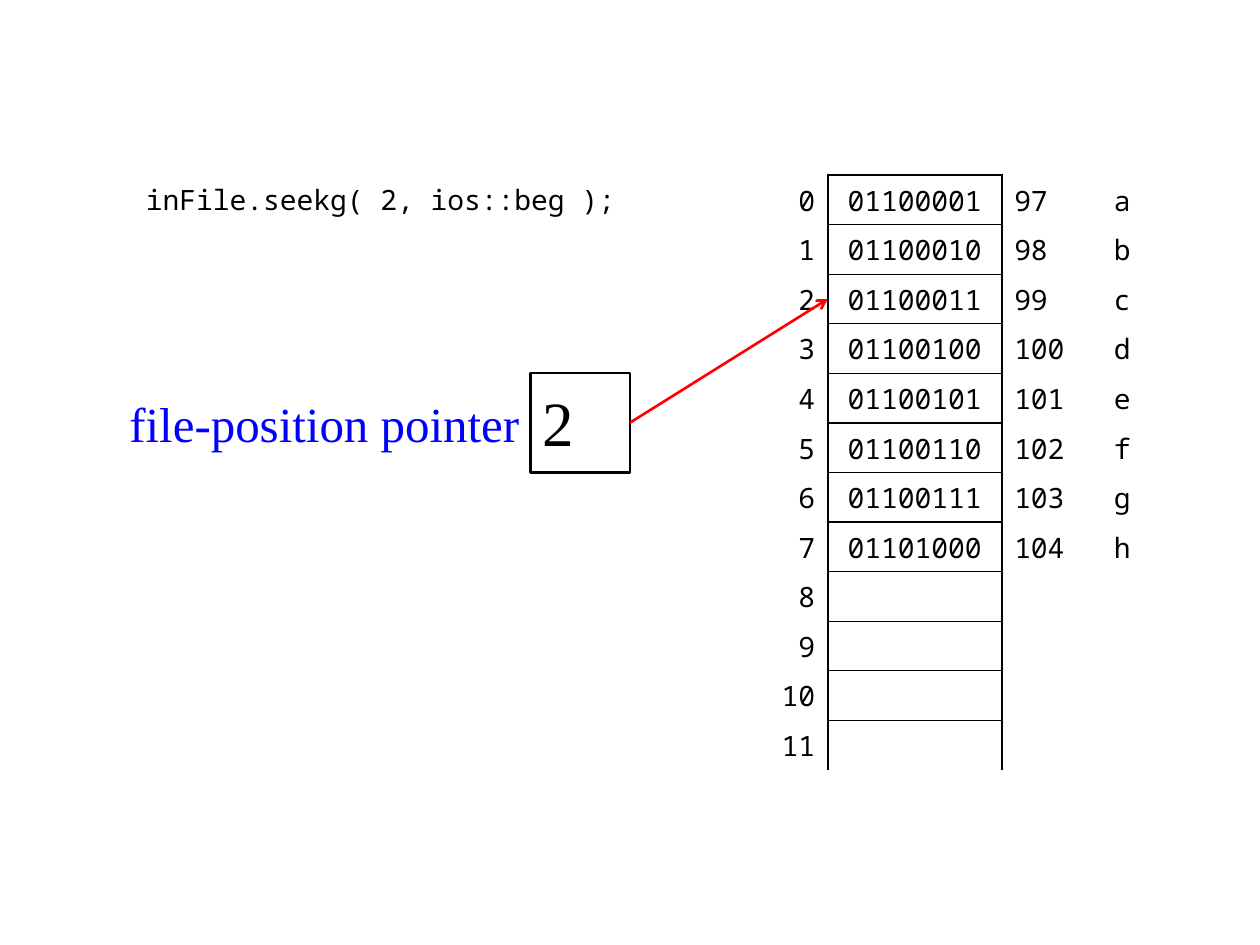
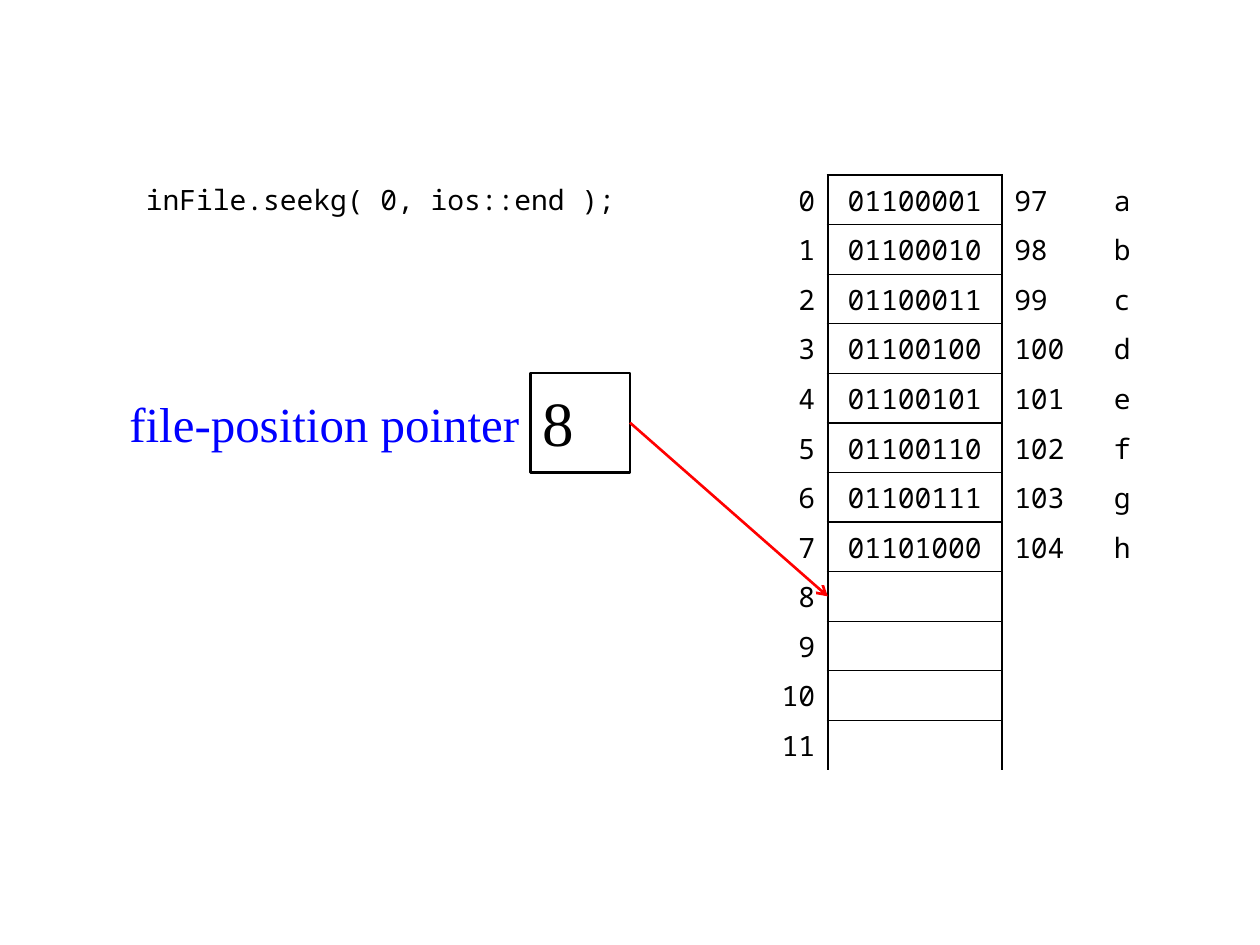
from dataclasses import dataclass

from lxml.etree import SubElement
from pptx import Presentation
from pptx.dml.color import RGBColor
from pptx.enum.shapes import MSO_CONNECTOR, MSO_SHAPE
from pptx.enum.text import MSO_ANCHOR, PP_ALIGN
from pptx.oxml.ns import qn
from pptx.util import Inches, Pt


@dataclass(frozen=True)
class Theme:
    black: RGBColor = RGBColor(0x00, 0x00, 0x00)
    white: RGBColor = RGBColor(0xFF, 0xFF, 0xFF)
    label: RGBColor = RGBColor(0x00, 0x00, 0xFF)
    arrow: RGBColor = RGBColor(0xFF, 0x00, 0x00)
    code_font: str = "Noto Sans Mono"
    text_font: str = "Times New Roman"
    code_size: float = 16
    label_size: float = 28
    pointer_size: float = 36
    thick: float = 1.5
    thin: float = 0.75


FILE_BYTES = "abcdefgh"
ROW_COUNT = 12
TABLE_LEFT, TABLE_TOP, TABLE_HEIGHT = 5.98, 1.39, 4.72
COLUMN_WIDTHS = (0.59, 1.38, 0.79, 0.39)
COLUMN_ALIGNMENTS = (PP_ALIGN.RIGHT, PP_ALIGN.CENTER, PP_ALIGN.LEFT, PP_ALIGN.LEFT)
ROW_HEIGHT = TABLE_HEIGHT / ROW_COUNT
SLIDES = (
    ("inFile.seekg( 2, ios::beg );", 2),
    ("inFile.seekg( 0, ios::end );", 8),
)


def set_attributes(target, values):
    for name, value in values.items():
        setattr(target, name, value)


def memory_row(address):
    if address >= len(FILE_BYTES):
        return str(address), "", "", ""
    character = FILE_BYTES[address]
    code = ord(character)
    return str(address), f"{code:08b}", str(code), character


class SlideBuilder:
    def __init__(self, presentation, theme):
        self.presentation = presentation
        self.theme = theme
        self.slide = None

    def new_slide(self):
        self.slide = self.presentation.slides.add_slide(self.presentation.slide_layouts[6])

    def fill_paragraph(self, paragraph, text, font, size, color,
                       alignment=PP_ALIGN.LEFT, spaced=True):
        paragraph.alignment = alignment
        if spaced:
            paragraph.space_before = Pt(0)
            spacing = paragraph._p.pPr.find(qn("a:spcBef"))
            spacing.remove(spacing[0])
            SubElement(spacing, qn("a:spcPct"), val="20000")
        run = paragraph.add_run()
        run.text = text
        set_attributes(run.font, {"name": font, "size": Pt(size)})
        run.font.color.rgb = color

    def text(self, bounds, text, **style):
        shape = self.slide.shapes.add_textbox(*map(Inches, bounds))
        set_attributes(shape.text_frame, {
            "word_wrap": True, "vertical_anchor": MSO_ANCHOR.MIDDLE})
        self.fill_paragraph(shape.text_frame.paragraphs[0], text, **style)

    def pointer_box(self, bounds, text):
        shape = self.slide.shapes.add_shape(MSO_SHAPE.RECTANGLE, *map(Inches, bounds))
        shape.shadow.inherit = False
        shape.fill.background()
        shape.line.color.rgb = self.theme.black
        shape.line.width = Pt(self.theme.thick)
        set_attributes(shape.text_frame, {
            "word_wrap": True, "vertical_anchor": MSO_ANCHOR.MIDDLE,
            "margin_left": Inches(0.1), "margin_right": Inches(0.1),
            "margin_top": 0, "margin_bottom": Inches(0.02)})
        paragraph = shape.text_frame.paragraphs[0]
        self.fill_paragraph(paragraph, text, self.theme.text_font,
                            self.theme.pointer_size, self.theme.black)
        indent = Inches(0.38)
        paragraph._p.pPr.set("marL", str(indent))
        paragraph._p.pPr.set("indent", str(-indent))
        return shape

    def arrow(self, source, right, bottom):
        connector = self.slide.shapes.add_connector(
            MSO_CONNECTOR.STRAIGHT, 0, 0, Inches(right), Inches(bottom))
        connector.begin_connect(source, 3)
        connector.line.color.rgb = self.theme.arrow
        connector.line.width = Pt(self.theme.thick)
        properties = connector._element.spPr
        SubElement(properties.find(qn("a:ln")), qn("a:tailEnd"), type="arrow")
        SubElement(properties, qn("a:effectLst"))

    def cell_borders(self, row, column):
        thick, thin = self.theme.thick, self.theme.thin
        if column == 1:
            return {"L": thick, "R": thick, "T": thin if row else thick,
                    "B": thin if row < ROW_COUNT - 1 else 0}
        return {"L": thick if column == 2 else 0, "R": thick if column == 0 else 0,
                "T": 0, "B": 0}

    def draw_borders(self, cell, borders):
        properties = cell._tc.get_or_add_tcPr()
        for position, (side, width) in enumerate(borders.items()):
            line = properties.makeelement(qn(f"a:ln{side}"), {"w": str(Pt(width))})
            properties.insert(position, line)
            if width:
                fill = SubElement(line, qn("a:solidFill"))
                SubElement(fill, qn("a:srgbClr"), val=str(self.theme.black))
            else:
                SubElement(line, qn("a:noFill"))

    def memory_table(self):
        table = self.slide.shapes.add_table(
            ROW_COUNT, len(COLUMN_WIDTHS), Inches(TABLE_LEFT), Inches(TABLE_TOP),
            Inches(sum(COLUMN_WIDTHS)), Inches(TABLE_HEIGHT)).table
        set_attributes(table, {"first_row": False, "horz_banding": False})
        for column, width in zip(table.columns, COLUMN_WIDTHS):
            column.width = Inches(width)
        for address, row in enumerate(table.rows):
            row.height = Inches(ROW_HEIGHT)
            for column, text in enumerate(memory_row(address)):
                cell = table.cell(address, column)
                margin = Inches(0.05 if text else 0)
                set_attributes(cell, {
                    "vertical_anchor": MSO_ANCHOR.MIDDLE,
                    "margin_top": margin, "margin_bottom": margin})
                cell.fill.solid()
                cell.fill.fore_color.rgb = self.theme.white
                self.draw_borders(cell, self.cell_borders(address, column))
                if text:
                    self.fill_paragraph(
                        cell.text_frame.paragraphs[0], text, self.theme.code_font,
                        self.theme.code_size, self.theme.black, COLUMN_ALIGNMENTS[column])


def main():
    presentation = Presentation()
    set_attributes(presentation, {"slide_width": Inches(10), "slide_height": Inches(7.5)})
    theme = Theme()
    builder = SlideBuilder(presentation, theme)
    for statement, position in SLIDES:
        builder.new_slide()
        builder.text((1.06, 1.39, 4.13, 0.39), statement, font=theme.code_font,
                     size=theme.code_size, color=theme.black)
        builder.text((0.87, 2.96, 3.35, 0.79), "file-position pointer", font=theme.text_font,
                     size=theme.label_size, color=theme.label,
                     alignment=PP_ALIGN.RIGHT, spaced=False)
        builder.memory_table()
        pointer = builder.pointer_box((4.21, 2.96, 0.79, 0.79), str(position))
        builder.arrow(pointer, TABLE_LEFT + COLUMN_WIDTHS[0],
                      TABLE_TOP + (position + 0.5) * ROW_HEIGHT)
    presentation.save("out.pptx")


if __name__ == "__main__":
    main()
